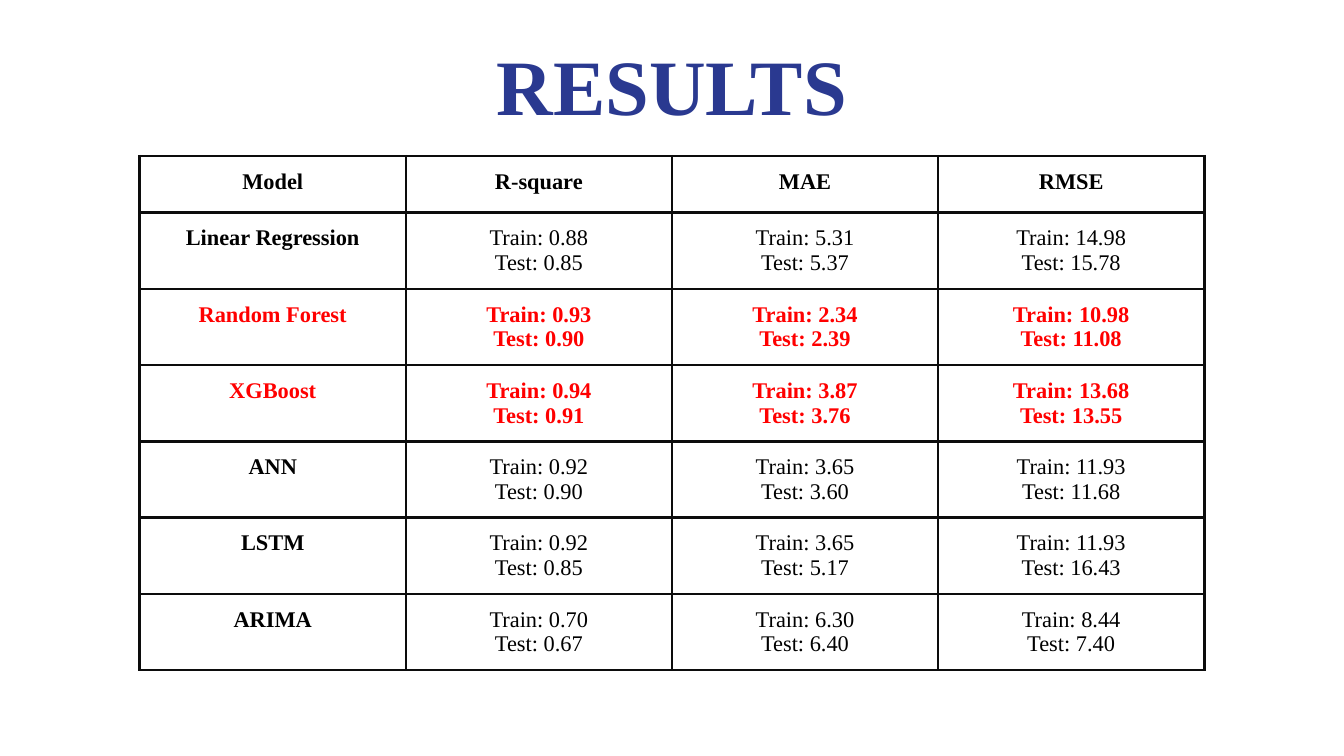
from lxml import etree
from pptx import Presentation
from pptx import util as u
from pptx.dml.color import RGBColor
from pptx.enum import text
from pptx.oxml.ns import qn

COLOURS = {"title": "2A3990", "body": "000000", "best": "FF0000", "border": "0C0C0C"}
HEADINGS = ["Model", "R-square", "MAE", "RMSE"]
SCORES = [
    ("Linear Regression", ("0.88", "0.85"), ("5.31", "5.37"), ("14.98", "15.78")),
    ("Random Forest", ("0.93", "0.90"), ("2.34", "2.39"), ("10.98", "11.08")),
    ("XGBoost", ("0.94", "0.91"), ("3.87", "3.76"), ("13.68", "13.55")),
    ("ANN", ("0.92", "0.90"), ("3.65", "3.60"), ("11.93", "11.68")),
    ("LSTM", ("0.92", "0.85"), ("3.65", "5.17"), ("11.93", "16.43")),
    ("ARIMA", ("0.70", "0.67"), ("6.30", "6.40"), ("8.44", "7.40")),
]
BEST_MODELS = {"Random Forest", "XGBoost"}


class ResultsSlide:
    font_name = "Times New Roman"
    inset = u.Cm(0.25)

    def __init__(self, deck):
        self.slide = deck.slides.add_slide(deck.slide_layouts[5])

    def style_text(self, frame, wording, size, colour, bold):
        frame.text = wording
        for paragraph in frame.paragraphs:
            paragraph.alignment = text.PP_ALIGN.CENTER
            paragraph.font.name = self.font_name
            paragraph.font.size = u.Pt(size)
            paragraph.font.bold = bold
            paragraph.font.color.rgb = RGBColor.from_string(COLOURS[colour])

    def title(self, wording, left, top, width, height):
        heading = self.slide.shapes.title
        heading.left, heading.top = u.Cm(left), u.Cm(top)
        heading.width, heading.height = u.Cm(width), u.Cm(height)
        frame = heading.text_frame
        frame.auto_size = text.MSO_AUTO_SIZE.NONE
        frame.vertical_anchor = text.MSO_ANCHOR.TOP
        frame.margin_left = frame.margin_right = frame.margin_bottom = self.inset
        frame.margin_top = u.Cm(0.43)
        self.style_text(frame, wording, 42, "title", True)

    def border(self, cell):
        properties = cell._tc.get_or_add_tcPr()
        for position, side in enumerate(("a:lnL", "a:lnR", "a:lnT", "a:lnB")):
            line = etree.Element(qn(side), w=str(u.Pt(1.5)))
            fill = etree.SubElement(line, qn("a:solidFill"))
            etree.SubElement(fill, qn("a:srgbClr"), val=COLOURS["border"])
            properties.insert(position, line)

    def cell(self, cell, wording, colour, bold):
        cell.fill.background()
        cell.margin_left = cell.margin_right = self.inset
        cell.margin_top = cell.margin_bottom = self.inset
        self.style_text(cell.text_frame, wording, 12, colour, bold)
        self.border(cell)

    def table(self, headings, scores, left, top, width, height, row_height):
        holder = self.slide.shapes.add_table(
            len(scores) + 1, len(headings),
            u.Cm(left), u.Cm(top), u.Cm(width), u.Cm(height))
        grid = holder.table
        grid.first_row = grid.horz_banding = False
        for row in grid.rows:
            row.height = u.Cm(row_height)
        holder.height = u.Cm(height)
        for column, heading in enumerate(headings):
            self.cell(grid.cell(0, column), heading, "body", True)
        for row, (model, *metrics) in enumerate(scores, 1):
            best = model in BEST_MODELS
            colour = "best" if best else "body"
            self.cell(grid.cell(row, 0), model, colour, True)
            for column, (train, test) in enumerate(metrics, 1):
                self.cell(grid.cell(row, column),
                          f"Train: {train}\nTest: {test}", colour, best)


def main():
    deck = Presentation()
    deck.slide_width, deck.slide_height = u.Cm(25.4), u.Cm(14.29)
    results = ResultsSlide(deck)
    results.title("RESULTS", 0.86, 0.28, 23.67, 1.68)
    results.table(HEADINGS, SCORES, 2.64, 2.95, 20.12, 10.21, 1.07)
    deck.save("out.pptx")


if __name__ == "__main__":
    main()
